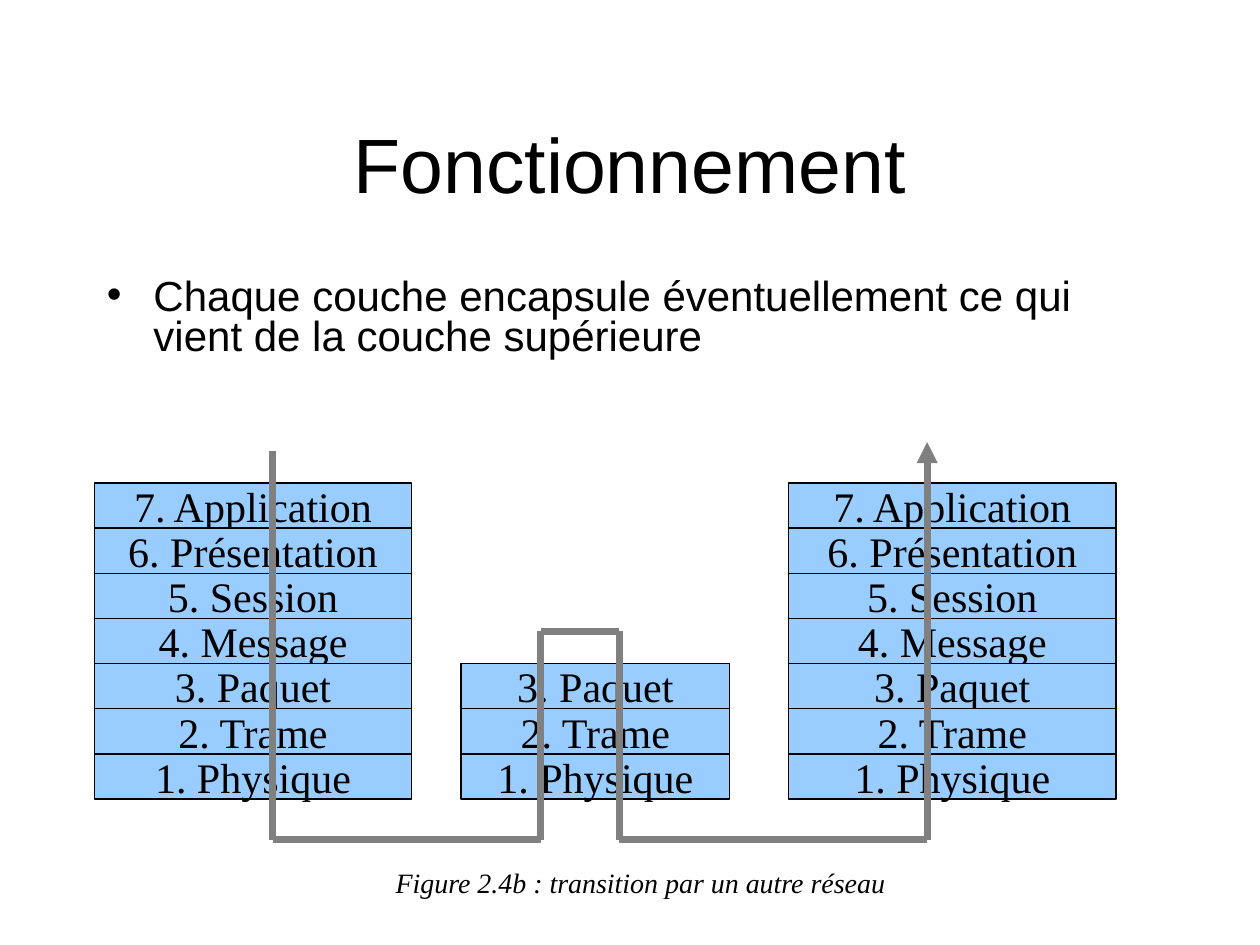
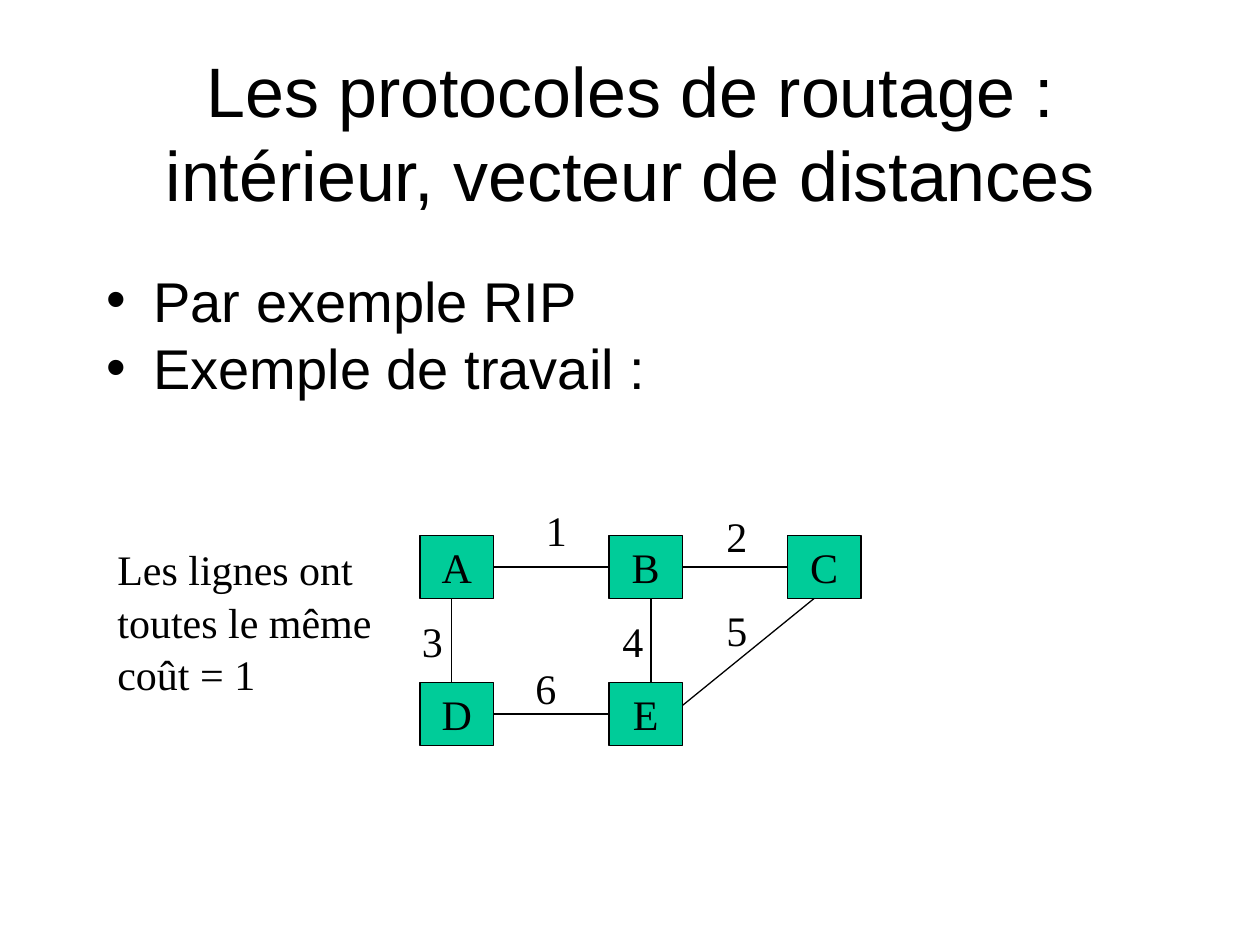
import itertools

import pptx
import pptx.dml.color
import pptx.enum.shapes
import pptx.enum.text
import pptx.oxml
import pptx.oxml.ns
import pptx.util

BLACK = pptx.dml.color.RGBColor(0x00, 0x00, 0x00)
GREY = pptx.dml.color.RGBColor(0x80, 0x80, 0x80)
BLUE = pptx.dml.color.RGBColor(0x99, 0xCC, 0xFF)
GREEN = pptx.dml.color.RGBColor(0x00, 0xCC, 0x99)

COLS, ROWS = 120, 90
SANS, SERIF = "Arial", "Times New Roman"
ALIGN = pptx.enum.text.PP_ALIGN
ANCHOR = pptx.enum.text.MSO_ANCHOR
LAYERS = ["7. Application", "6. Présentation", "5. Session", "4. Message",
          "3. Paquet", "2. Trame", "1. Physique"]


def put(item, values):
    for name, value in values.items():
        setattr(item, name, value)


def add_xml(parent, tag, **values):
    node = pptx.oxml.ns.qn(tag)
    child = parent.makeelement(node, values)
    parent.append(child)
    return child


class Deck:
    """Holds the file, its grid, its text style and the current slide."""

    def __init__(self):
        self.file = pptx.Presentation()
        put(self.file, {"slide_width": pptx.util.Inches(10),
                        "slide_height": pptx.util.Inches(7.5)})
        self.col = self.file.slide_width / COLS
        self.row = self.file.slide_height / ROWS

    def spot(self, x, y):
        return round(x * self.col), round(y * self.row)

    def label(self, shape, lines, size, font=SERIF, slant=None, wrap=True,
              anchor=ANCHOR.TOP, **form):
        """Fill a shape with one paragraph per line, all in one format."""
        frame = shape.text_frame
        put(frame, {"text": "\n".join(lines), "word_wrap": wrap,
                    "auto_size": pptx.enum.text.MSO_AUTO_SIZE.NONE,
                    "vertical_anchor": anchor})
        for para in frame.paragraphs:
            put(para, form)
            for run in para.runs:
                put(run.font, {"name": font, "size": pptx.util.Pt(size),
                               "italic": slant})
                run.font.color.rgb = BLACK
        return frame

    def start(self, title, y, high, size):
        """Open a new slide and set its title."""
        self.slide = self.file.slides.add_slide(self.file.slide_layouts[5])
        head = self.slide.shapes.title
        left, top = self.spot(9, y)
        width, height = self.spot(102, high)
        put(head, {"left": left, "top": top, "width": width, "height": height})
        self.label(head, [title], size, SANS, anchor=ANCHOR.MIDDLE,
                   alignment=ALIGN.CENTER)

    def text(self, lines, x, y, wide, high, size, **form):
        box = self.slide.shapes.add_textbox(*self.spot(x, y),
                                            *self.spot(wide, high))
        return self.label(box, lines, size, **form)

    def list(self, lines, high, size, gap):
        frame = self.text(lines, 9, 26, 102, high, size, font=SANS,
                          line_spacing=0.8, space_before=pptx.util.Pt(gap))
        dent = pptx.util.Inches(0.37)
        for para in frame.paragraphs:
            props = para._p.get_or_add_pPr()
            props.set("marL", str(dent))
            props.set("indent", str(-dent))
            add_xml(props, "a:buFont", typeface=SANS)
            add_xml(props, "a:buChar", char="•")

    def box(self, name, x, y, wide, high, fill):
        kind = pptx.enum.shapes.MSO_SHAPE.RECTANGLE
        box = self.slide.shapes.add_shape(kind, *self.spot(x, y),
                                          *self.spot(wide, high))
        box.shadow.inherit = False
        box.fill.solid()
        box.fill.fore_color.rgb = fill
        box.line.color.rgb = BLACK
        box.line.width = pptx.util.Pt(0.75)
        self.label(box, [name], 24, anchor=ANCHOR.MIDDLE,
                   alignment=ALIGN.CENTER)

    def line(self, start, end, color=BLACK, width=0.75, arrow=False):
        kind = pptx.enum.shapes.MSO_CONNECTOR.STRAIGHT
        line = self.slide.shapes.add_connector(kind, *self.spot(*start),
                                               *self.spot(*end))
        line.line.color.rgb = color
        line.line.width = pptx.util.Pt(width)
        if arrow:
            add_xml(line.line._get_or_add_ln(), "a:tailEnd", type="triangle")
        add_xml(line._element.spPr, "a:effectLst")

    def stack(self, x, wide, count=len(LAYERS)):
        """Draw the lowest layers of the model, all on one common base."""
        step, base = 4.3, 76.1
        for place, name in enumerate(LAYERS[-count:]):
            self.box(name, x, base - (count - place) * step, wide, step, BLUE)


def draw_layers(deck):
    deck.start("Fonctionnement", 8, 15, 44)
    deck.list(["Chaque couche encapsule éventuellement ce qui vient de la "
               "couche supérieure"], 23, 24, 6)
    deck.stack(9, 30.2)
    deck.stack(75.1, 31.2)
    deck.stack(43.9, 25.6, 3)
    base, peak = 80, 60.1
    sender, enter, leave, target = 26, 51.5, 59, 88.3
    route = [(sender, 43), (sender, base), (enter, base), (enter, peak),
             (leave, peak), (leave, base), (target, base), (target, 42.1)]
    for start, end in itertools.pairwise(route):
        deck.line(start, end, GREY, 4, arrow=end == route[-1])
    deck.text(["Figure 2.4b : transition par un autre réseau"],
              36.5, 81.8, 49.2, 4.4, 16, slant=True, wrap=False)


def draw_routes(deck):
    deck.start("Les protocoles de routage : intérieur, vecteur de distances",
               4, 17, 40)
    deck.list(["Par exemple RIP", "Exemple de travail :"], 54, 32, 8)
    deck.text(["Les lignes ont", "toutes le même", "coût = 1"],
              10, 51, 26.6, 15.6, 24, wrap=False, line_spacing=1.04)
    high, low = 54, 68
    links = [((45, high), (78, high)), ((43, low), (43, high)),
             ((45, low), (64, low)), ((62, 55), (62, 69)),
             ((64, low), (80, 55))]
    for start, end in links:
        deck.line(start, end)
    nodes = {"A": (40, high), "D": (40, low), "B": (58, high),
             "E": (58, low), "C": (75, high)}
    for name, (x, mid) in nodes.items():
        deck.box(name, x, mid - 3, 7, 6, GREEN)
    marks = [(50.8, 47.5), (68, 48), (39, 58), (58.1, 58), (68, 57),
             (49.8, 62.5)]
    for number, (x, y) in enumerate(marks, 1):
        deck.text([str(number)], x, y, 4.3, 6, 24, wrap=False)


def main():
    deck = Deck()
    draw_layers(deck)
    draw_routes(deck)
    deck.file.save("out.pptx")


if __name__ == "__main__":
    main()
